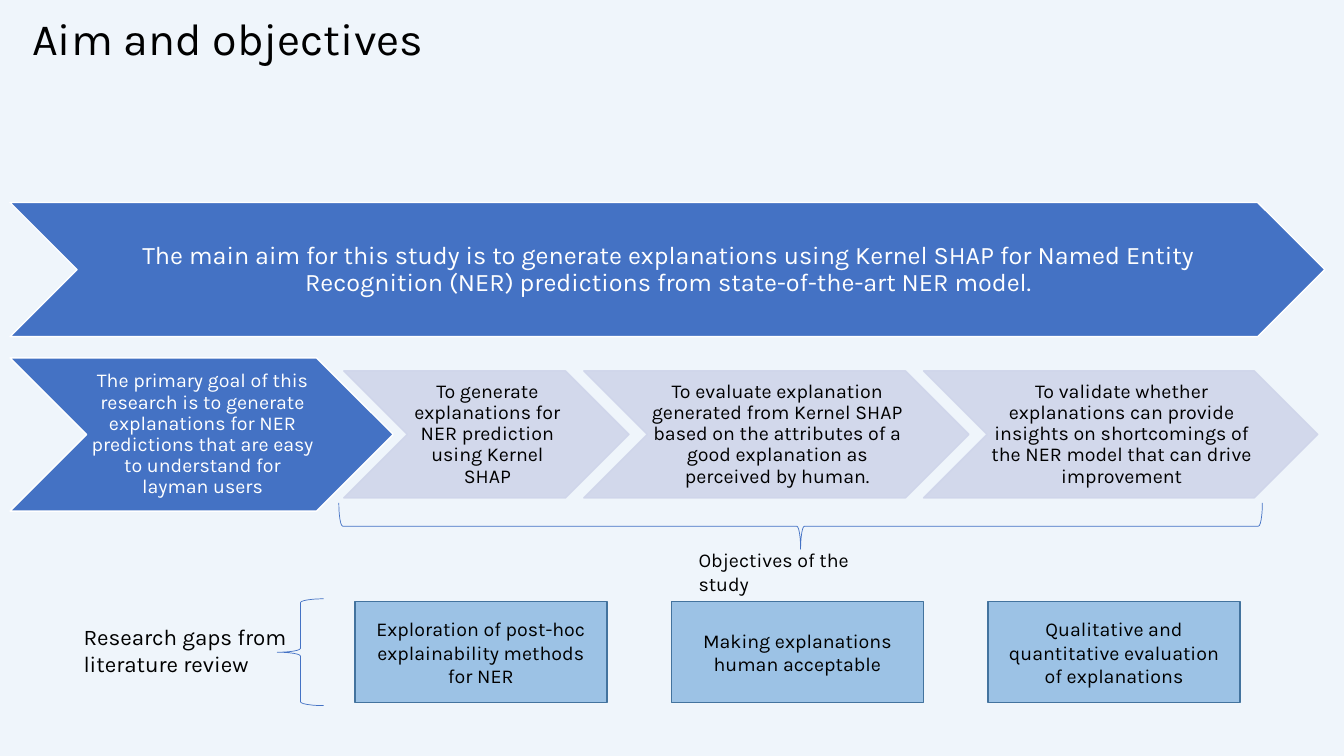
import pptx
import pptx.dml.color
import pptx.enum.shapes
import pptx.enum.text
import pptx.oxml.ns
import pptx.util
from lxml import etree

Inches = pptx.util.Inches
Shapes = pptx.enum.shapes.MSO_SHAPE
Align = pptx.enum.text.PP_ALIGN
Anchor = pptx.enum.text.MSO_ANCHOR

COLOURS = {
    "background": "EFF5FB",
    "aim": "4472C4",
    "objective": "CFD5EA",
    "gap": "5B9BD5",
    "gap_line": "43739E",
    "white": "FFFFFF",
    "black": "000000",
}


class AimSlide:
    font_name = "Karla"

    def __init__(self, presentation):
        self.slide = presentation.slides.add_slide(presentation.slide_layouts[5])
        self.paint(self.slide.background.fill, "background")

    def paint(self, fill, colour, opacity=100):
        fill.solid()
        fill.fore_color.rgb = pptx.dml.color.RGBColor.from_string(COLOURS[colour])
        if opacity < 100:
            solid = fill._xPr.find(pptx.oxml.ns.qn("a:solidFill"))
            alpha = etree.SubElement(solid[0], pptx.oxml.ns.qn("a:alpha"))
            alpha.set("val", str(opacity * 1000))

    def set_text(self, shape, text, size, colour="black", align=Align.LEFT,
                 anchor=Anchor.MIDDLE, spacing=None):
        frame = shape.text_frame
        frame.word_wrap = True
        frame.auto_size = pptx.enum.text.MSO_AUTO_SIZE.NONE
        frame.vertical_anchor = anchor
        paragraph = frame.paragraphs[0]
        paragraph.text = text
        paragraph.alignment = align
        paragraph.line_spacing = spacing
        paragraph.font.name = self.font_name
        paragraph.font.size = pptx.util.Pt(size)
        self.paint(paragraph.font.fill, colour)

    def title(self, text, left, top, width, height):
        shape = self.slide.shapes.title
        shape.left, shape.top = Inches(left), Inches(top)
        shape.width, shape.height = Inches(width), Inches(height)
        self.set_text(shape, text, 32, spacing=0.9)

    def shape(self, kind, left, top, width, height, line, line_width=1, line_opacity=100):
        shape = self.slide.shapes.add_shape(
            kind, Inches(left), Inches(top), Inches(width), Inches(height))
        shape.shadow.inherit = False
        shape.line.width = pptx.util.Pt(line_width)
        self.paint(shape.line.fill, line, line_opacity)
        return shape

    def chevron(self, text, left, top, width, height, size,
                fill="aim", line="white", colour="white", opacity=100):
        shape = self.shape(Shapes.CHEVRON, left, top, width, height, line,
                           line_opacity=opacity)
        self.paint(shape.fill, fill, opacity)
        frame = shape.text_frame
        frame.margin_left, frame.margin_right = Inches(0.02), 0
        frame.margin_top = frame.margin_bottom = Inches(0.01)
        self.set_text(shape, text, size, colour, Align.CENTER, spacing=0.9)

    def box(self, text, left, top, width, height):
        shape = self.shape(Shapes.RECTANGLE, left, top, width, height, "gap_line")
        self.paint(shape.fill, "gap", 56)
        self.set_text(shape, text, 14, align=Align.CENTER)

    def brace(self, left, top, width, height, rotation):
        shape = self.shape(Shapes.RIGHT_BRACE, left, top, width, height, "aim", 0.5)
        shape.fill.background()
        shape.rotation = rotation

    def label(self, text, left, top, width, height, size):
        shape = self.slide.shapes.add_textbox(
            Inches(left), Inches(top), Inches(width), Inches(height))
        self.set_text(shape, text, size, anchor=Anchor.TOP)


def main():
    presentation = pptx.Presentation()
    presentation.slide_width = Inches(13.33)
    presentation.slide_height = Inches(7.5)
    page = AimSlide(presentation)

    page.title("Aim and objectives", 0.22, 0.15, 11.5, 0.51)
    page.chevron("The main aim for this study is to generate explanations using Kernel SHAP "
                 "for Named Entity Recognition (NER) predictions from state-of-the-art NER model.",
                 0.1, 2.01, 13.04, 1.33, 18)
    page.chevron("The primary goal of this research is to generate explanations for NER "
                 "predictions that are easy to understand for layman users",
                 0.1, 3.55, 3.8, 1.52, 14)

    objectives = [
        ("To generate explanations for NER prediction using Kernel SHAP", 2.83),
        ("To evaluate explanation generated from Kernel SHAP based on the attributes "
         "of a good explanation as perceived by human.", 3.82),
        ("To validate whether explanations can provide insights on shortcomings "
         "of the NER model that can drive improvement", 3.91),
    ]
    left, overlap = 3.41, 0.45
    for text, width in objectives:
        page.chevron(text, left, 3.68, width, 1.26, 14,
                     "objective", "objective", "black", 90)
        left += width - overlap

    page.brace(7.71, 0.64, 0.46, 9.16, 90)
    page.label("Objectives of the study", 6.83, 5.39, 2.22, 0.34, 14)

    gaps = [
        "Exploration of post-hoc explainability methods for NER",
        "Making explanations human acceptable",
        "Qualitative and quantitative evaluation of explanations",
    ]
    for column, text in enumerate(gaps):
        page.box(text, 3.52 + column * 3.14, 5.97, 2.5, 1)

    page.brace(2.75, 5.94, 0.46, 1.06, 180)
    page.label("Research gaps from literature review", 0.73, 6.13, 2.48, 0.64, 16)

    presentation.save("out.pptx")


if __name__ == "__main__":
    main()
